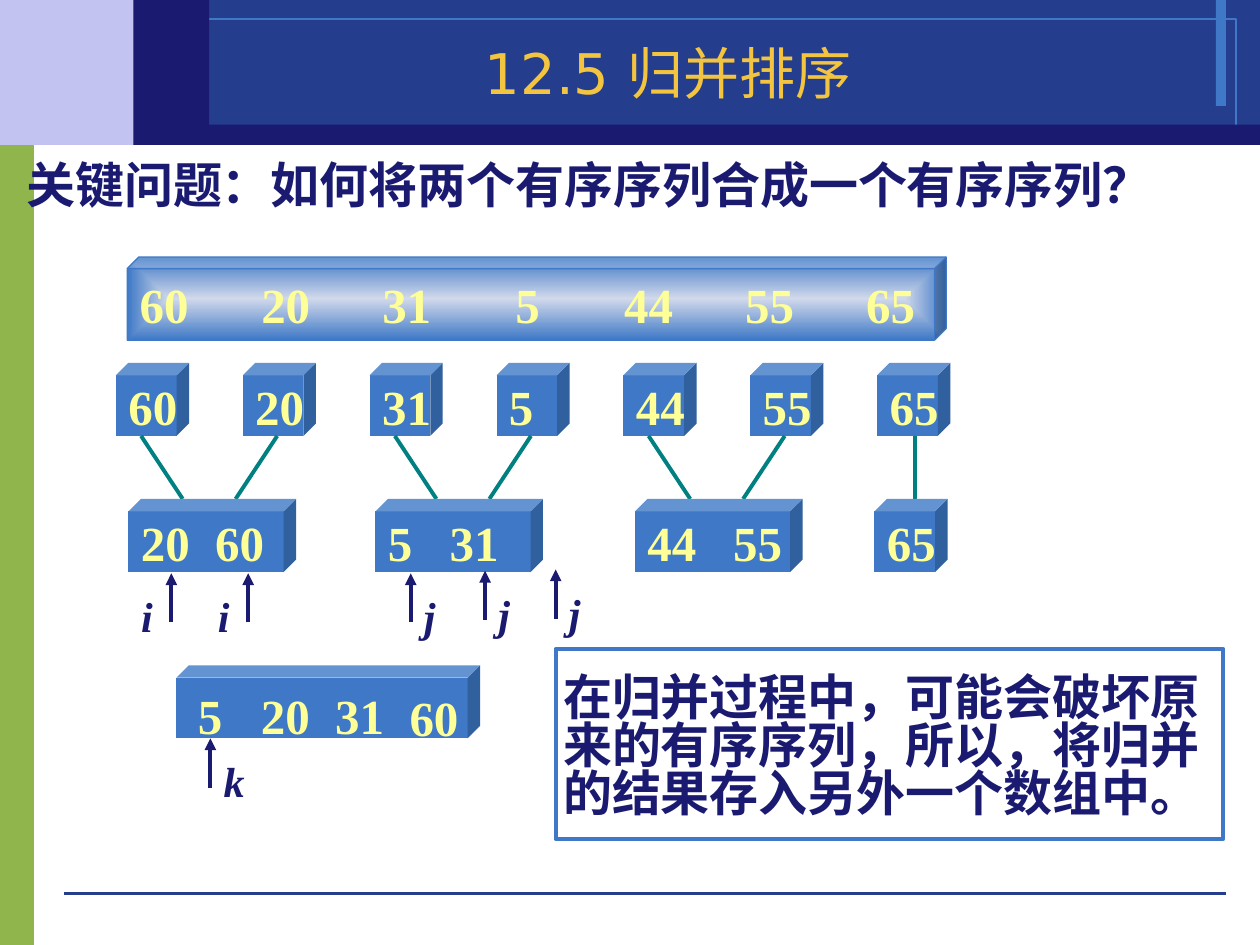
from dataclasses import dataclass

import pptx
import pptx.dml.color
import pptx.enum.dml
import pptx.enum.shapes
import pptx.enum.text
import pptx.oxml.ns
import pptx.util
from lxml import etree

SHAPE = pptx.enum.shapes.MSO_SHAPE
ANCHOR = pptx.enum.text.MSO_ANCHOR
COLUMNS, ROWS = 100, 75
CELL = pptx.util.Inches(0.1)
qn = pptx.oxml.ns.qn


@dataclass(frozen=True)
class Theme:
    navy: str = "1A1A70"
    banner: str = "243D8C"
    blue: str = "3E78C6"
    pale: str = "D1D9EB"
    lilac: str = "C3C3F1"
    green: str = "90B54D"
    teal: str = "008080"
    number: str = "FFFF97"
    gold: str = "F3C43F"
    serif: str = "Times New Roman"
    latin: str = "Arial"
    chinese: str = "Noto Sans CJK SC"
    heading: str = "DejaVu Sans"
    title_size: int = 32
    body_size: int = 28
    pointer_size: int = 24


THEME = Theme()


def grid(*cells):
    """Turn columns or rows of the slide grid into lengths."""
    return [pptx.util.Emu(round(cell * CELL)) for cell in cells]


def rgb(code):
    return pptx.dml.color.RGBColor.from_string(code)


def add_block(slide, area, fill=None, line=None, width=0, kind=SHAPE.RECTANGLE):
    block = slide.shapes.add_shape(kind, *grid(*area))
    block.shadow.inherit = False
    if fill:
        block.fill.solid()
        block.fill.fore_color.rgb = rgb(fill)
    else:
        block.fill.background()
    if line:
        block.line.color.rgb = rgb(line)
        block.line.width = pptx.util.Pt(width)
    else:
        block.line.fill.background()
    return block


def add_line(slide, start, end, color, width, arrow=False):
    line = slide.shapes.add_connector(
        pptx.enum.shapes.MSO_CONNECTOR.STRAIGHT, *grid(*start, *end))
    line.line.color.rgb = rgb(color)
    line.line.width = pptx.util.Pt(width)
    if arrow:
        etree.SubElement(line.line._get_or_add_ln(), qn("a:tailEnd"), type="triangle")
    etree.SubElement(line._element.spPr, qn("a:effectLst"))


def add_run(paragraph, words, font, size, color, bold=True, italic=False):
    run = paragraph.add_run()
    run.text = words
    run.font.name = font
    run.font.size = pptx.util.Pt(size)
    run.font.color.rgb = rgb(color)
    run.font.bold = bold
    run.font.italic = italic
    etree.SubElement(run._r.get_or_add_rPr(), qn("a:ea"), typeface=THEME.chinese)


def set_frame(shape, anchor, insets, wrap=True):
    """Set the text layout, with insets as left, top, right, bottom cells."""
    frame = shape.text_frame
    frame.word_wrap = wrap
    frame.vertical_anchor = anchor
    (frame.margin_left, frame.margin_top,
     frame.margin_right, frame.margin_bottom) = grid(*insets)
    paragraph = frame.paragraphs[0]
    paragraph.alignment = pptx.enum.text.PP_ALIGN.LEFT
    return paragraph


def add_tabs(paragraph, stops, align):
    tabs = etree.SubElement(paragraph._p.get_or_add_pPr(), qn("a:tabLst"))
    for stop in grid(*stops):
        etree.SubElement(tabs, qn("a:tab"), pos=str(int(stop)), algn=align)


def add_cube(slide, area, numbers=(), gap=None):
    """Draw an array as a cube; gap is the tab stop of a second number."""
    cube = add_block(slide, area, THEME.blue, kind=SHAPE.CUBE)
    cube.adjustments[0] = 0.17
    if numbers:
        paragraph = set_frame(cube, ANCHOR.MIDDLE, (1, 0.5, 0 if gap else 1, 0.5),
                              wrap=bool(gap))
        if gap:
            add_tabs(paragraph, [gap], "l")
        add_run(paragraph, "\t".join(numbers), THEME.serif, THEME.body_size, THEME.number)


def add_input_array(slide, numbers):
    bar = add_block(slide, (10.1, 20.4, 65, 6.6), THEME.blue, THEME.blue, 0.75, SHAPE.CUBE)
    bar.adjustments[0] = 0.14
    bar.fill.gradient()
    for stop, place, color in zip(bar.fill.gradient_stops, (0, 1), (THEME.pale, THEME.blue)):
        stop.position = place
        stop.color.rgb = rgb(color)
    linear = bar._element.spPr.find(".//" + qn("a:lin"))
    path = etree.Element(qn("a:path"), path="rect")
    etree.SubElement(path, qn("a:fillToRect"), l="50000", t="50000", r="50000", b="50000")
    linear.getparent().replace(linear, path)
    paragraph = set_frame(bar, ANCHOR.MIDDLE, (1, 0.5, 0, 0.5))
    add_tabs(paragraph, [2 + 9.6 * step for step in range(1, len(numbers))], "ctr")
    add_run(paragraph, "\t".join(numbers), THEME.serif, THEME.body_size, THEME.number)


def add_label(slide, area, words, size, color, italic=False):
    label = slide.shapes.add_textbox(*grid(*area))
    paragraph = set_frame(label, ANCHOR.TOP, (0, 0, 0, 0))
    add_run(paragraph, words, THEME.serif, size, color, italic=italic)


def add_pointer(slide, name, column, tip):
    """Draw an index arrow with its tip at the given row."""
    add_line(slide, (column, tip + 3.9), (column, tip), THEME.navy, 2.25, arrow=True)
    offset = -2.4 if name == "i" else 1.05
    add_label(slide, (column + offset, tip + 1.4, 2, 4), name,
              THEME.pointer_size, THEME.navy, italic=True)


def add_backdrop(slide):
    add_block(slide, (0, 10.7, 2.7, 64.3), THEME.green)
    add_block(slide, (0, 0, 15.3, 11.5), THEME.lilac)
    add_block(slide, (15.3, 0, 84.7, 11.5), THEME.banner)
    add_block(slide, (96.5, 0, 0.8, 8.4), THEME.blue)
    add_block(slide, (11.9, 1.5, 86.2, 8.5), line=THEME.blue)
    add_line(slide, (5.1, 70.9), (97.3, 70.9), THEME.banner, 0)
    add_block(slide, (13, 9.9, 87, 1.6), THEME.navy)
    add_block(slide, (10.6, 0, 6, 11.5), THEME.navy)


def add_title(slide, words):
    title = slide.shapes.title
    title.left, title.top, title.width, title.height = grid(11.9, 2.6, 82.3, 6.2)
    slide.shapes._spTree.append(title._element)
    paragraph = set_frame(title, ANCHOR.MIDDLE, (1, 0.5, 1, 0.5))
    paragraph.alignment = pptx.enum.text.PP_ALIGN.CENTER
    add_run(paragraph, words, THEME.heading, THEME.title_size, THEME.gold, bold=False)


def add_statements(slide):
    note = add_block(slide, (44.1, 51.5, 53, 15.1), line=THEME.blue, width=2.25)
    question = slide.shapes.add_textbox(*grid(1.1, 12.6, 96.1, 5.7))
    note_text = set_frame(note, ANCHOR.MIDDLE, (0.6, 1.2, 0.2, 0.4))
    question_text = set_frame(question, ANCHOR.TOP, (1, 0.5, 1, 0.5))
    for paragraph, words, font in (
            (note_text, "在归并过程中，可能会破坏原来的有序序列，所以，将归并的结果存入另外一个数组中。",
             THEME.chinese),
            (question_text, "关键问题：", THEME.chinese),
            (question_text, "如何将两个有序序列合成一个有序序列？", THEME.latin)):
        paragraph.line_spacing = 0.82
        add_run(paragraph, words, font, THEME.body_size, THEME.navy)


def add_merge_steps(slide, numbers):
    first, pitch, side = 9.2, 10.07, 5.8
    for index, number in enumerate(numbers):
        add_cube(slide, (first + index * pitch, 28.8, side, side), [number])
    merged = ((10.2, ("20", "60"), 5.9), (29.8, ("5", "31"), 4.9), (50.4, ("44", "55"), 6.8))
    for index, (left, pair, gap) in enumerate(merged):
        centre = first + 2 * index * pitch + 7.4
        for sign in (-1, 1):
            add_line(slide, (centre + sign * 5.4, 34.6), (centre + sign * 2.1, 39.6),
                     THEME.teal, 2.25)
        add_cube(slide, (left, 39.6, 13.3, side), pair, gap)
    add_line(slide, (72.6, 34.6), (72.6, 39.6), THEME.teal, 2.25)
    add_cube(slide, (69.4, 39.6, side, side), numbers[-1:])


def add_result(slide):
    add_cube(slide, (14, 52.8, 24.1, 5.8))
    for number, left, top in (("5", 15.7, 54.4), ("20", 20.7, 54.4),
                              ("31", 26.6, 54.4), ("60", 32.5, 54.6)):
        add_label(slide, (left, top, 4.2, 4.7), number, THEME.body_size, THEME.number)


def main():
    deck = pptx.Presentation()
    deck.slide_width, deck.slide_height = grid(COLUMNS, ROWS)
    slide = deck.slides.add_slide(deck.slide_layouts[5])
    numbers = ["60", "20", "31", "5", "44", "55", "65"]
    add_backdrop(slide)
    add_statements(slide)
    add_merge_steps(slide, numbers)
    add_result(slide)
    add_input_array(slide, numbers)
    for name, column, tip in (("i", 13.6, 45.5), ("i", 19.7, 45.5), ("j", 32.6, 45.5),
                              ("j", 38.5, 45.3), ("j", 44.1, 45.2), ("k", 16.7, 58.6)):
        add_pointer(slide, name, column, tip)
    add_title(slide, "12.5 归并排序")
    deck.save("out.pptx")


if __name__ == "__main__":
    main()
